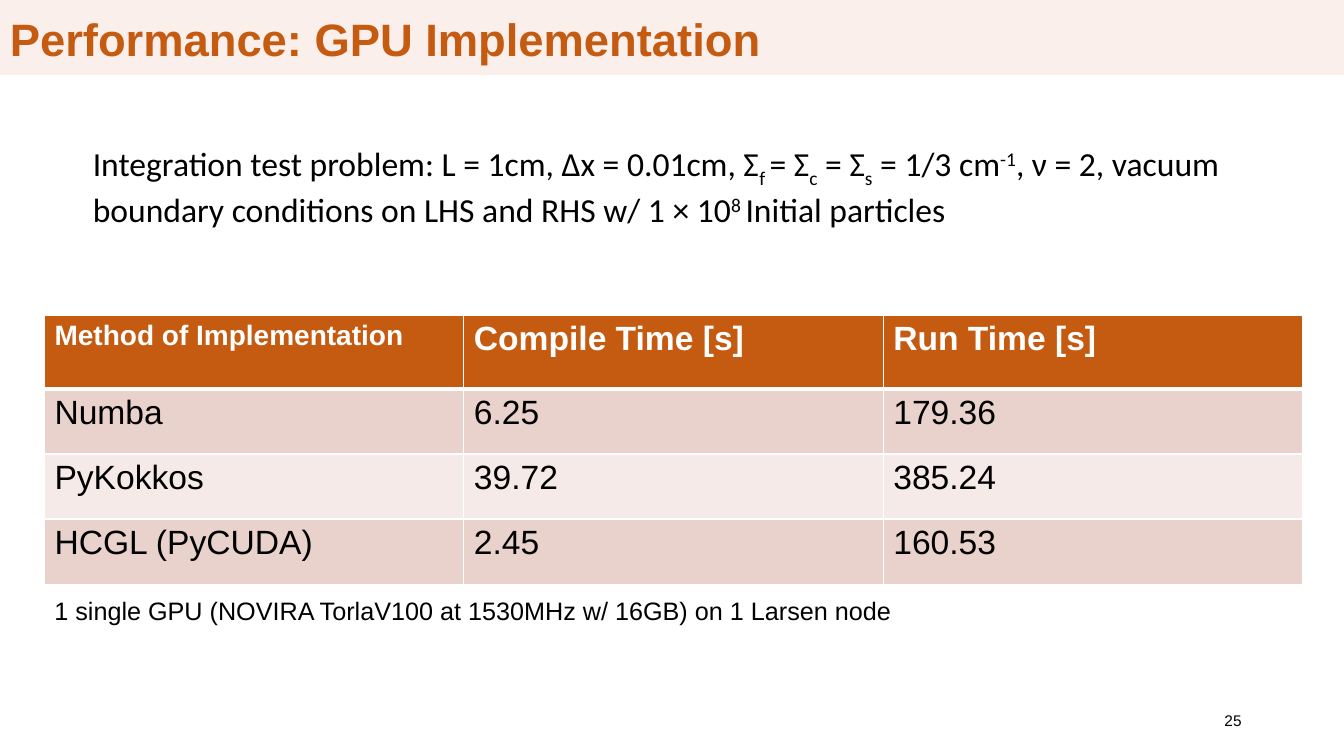
from lxml import etree
from pptx import Presentation
from pptx.dml.color import RGBColor
from pptx.enum.shapes import MSO_SHAPE
from pptx.enum.text import MSO_ANCHOR, PP_ALIGN
from pptx.oxml.ns import qn
from pptx.util import Cm, Pt

RECTANGLE = MSO_SHAPE.RECTANGLE
TOP, MIDDLE = MSO_ANCHOR.TOP, MSO_ANCHOR.MIDDLE
LEFT, RIGHT = PP_ALIGN.LEFT, PP_ALIGN.RIGHT

COLOURS = {
    "accent": "C55A11",
    "band": "FAEFEA",
    "row_dark": "EAD2CC",
    "row_light": "F5EAE7",
    "white": "FFFFFF",
    "black": "000000",
}

TITLE = "Performance: GPU Implementation"
SUB, SUPER = -25, 30
PROBLEM = [
    ("Integration test problem: L = 1cm, Δx = 0.01cm, Σ", 0),
    ("f ", SUB),
    ("= Σ", 0),
    ("c", SUB),
    (" = Σ", 0),
    ("s", SUB),
    (" = 1/3 cm", 0),
    ("-1", SUPER),
    (", ν = 2, vacuum boundary conditions on LHS and RHS w/ 1 × 10", 0),
    ("8 ", SUPER),
    ("Initial particles", 0),
]
HEADINGS = [("Method of Implementation", 20), ("Compile Time [s]", 24), ("Run Time [s]", 24)]
TIMINGS = [
    ("Numba", "6.25", "179.36"),
    ("PyKokkos", "39.72", "385.24"),
    ("HCGL (PyCUDA)", "2.45", "160.53"),
]
HARDWARE = "1 single GPU (NOVIRA TorlaV100 at 1530MHz w/ 16GB) on 1 Larsen node"
PAGE = "25"

SLIDE_W, SLIDE_H = 33.87, 19.05
BAND_H = 1.88
TITLE_W = 29.39
TABLE_LEFT, TABLE_TOP = 1.12, 7.95
COLUMN_W, HEADING_H, ROW_H = 10.57, 1.85, 1.64


def colour(name):
    return RGBColor.from_string(COLOURS[name])


def write(frame, text, size=24, font="Arial", ink="black", bold=False,
          align=LEFT, anchor=TOP, spacing=None):
    """Fill a frame with a string, or with (string, baseline percent) pairs."""
    frame.word_wrap = True
    frame.vertical_anchor = anchor
    paragraph = frame.paragraphs[0]
    paragraph.alignment = align
    if spacing:
        paragraph.line_spacing = spacing
    for part, baseline in [(text, 0)] if isinstance(text, str) else text:
        run = paragraph.add_run()
        run.text = part
        run.font.size = Pt(size)
        run.font.name = font
        run.font.bold = bold
        run.font.color.rgb = colour(ink)
        if baseline:
            run.font._element.set("baseline", str(baseline * 1000))


def add_text(slide, box, text, **style):
    frame = slide.shapes.add_textbox(*map(Cm, box)).text_frame
    write(frame, text, **style)


def add_band(slide, left, width, outline):
    band = slide.shapes.add_shape(RECTANGLE, Cm(left), 0, Cm(width), Cm(BAND_H))
    band.shadow.inherit = False
    band.fill.solid()
    band.fill.fore_color.rgb = colour("band")
    band.line.color.rgb = colour("band")
    band.line.width = Pt(outline)
    return band


def style_cell(cell, fill, top=1, bottom=1):
    """Set the fill and the white borders, with top and bottom widths in points."""
    cell.fill.solid()
    cell.fill.fore_color.rgb = colour(fill)
    properties = cell._tc.get_or_add_tcPr()
    widths = {"a:lnL": 1, "a:lnR": 1, "a:lnT": top, "a:lnB": bottom}
    for position, (side, width) in enumerate(widths.items()):
        border = etree.Element(qn(side), w=str(Pt(width)))
        solid = etree.SubElement(border, qn("a:solidFill"))
        etree.SubElement(solid, qn("a:srgbClr"), val=COLOURS["white"])
        properties.insert(position, border)


def add_timings(slide):
    height = HEADING_H + ROW_H * len(TIMINGS)
    table = slide.shapes.add_table(
        len(TIMINGS) + 1, len(HEADINGS), Cm(TABLE_LEFT), Cm(TABLE_TOP),
        Cm(COLUMN_W * len(HEADINGS)), Cm(height)).table
    for column in table.columns:
        column.width = Cm(COLUMN_W)
    for index, row in enumerate(table.rows):
        row.height = Cm(ROW_H if index else HEADING_H)
    for column, (heading, size) in enumerate(HEADINGS):
        cell = table.cell(0, column)
        style_cell(cell, "accent", bottom=3)
        write(cell.text_frame, heading, size=size, ink="white", bold=True)
    for row, timing in enumerate(TIMINGS, 1):
        for column, value in enumerate(timing):
            cell = table.cell(row, column)
            style_cell(cell, "row_dark" if row % 2 else "row_light", top=3 if row == 1 else 1)
            write(cell.text_frame, value)


def main():
    deck = Presentation()
    deck.slide_width, deck.slide_height = Cm(SLIDE_W), Cm(SLIDE_H)
    slide = deck.slides.add_slide(deck.slide_layouts[6])

    add_band(slide, 27.73, SLIDE_W - 27.73, 1)
    title = add_band(slide, 0, TITLE_W, 0.75).text_frame
    title.margin_top, title.margin_bottom = Cm(0.25), 0
    write(title, TITLE, size=32.4, ink="accent", bold=True, anchor=MIDDLE, spacing=0.9)

    add_timings(slide)
    add_text(slide, (TABLE_LEFT, 14.88, 29.62, 1.03), HARDWARE, size=18)
    add_text(slide, (23.92, 17.66, 7.62, 1.01), PAGE, size=11, align=RIGHT, anchor=MIDDLE)
    add_text(slide, (2.09, 3.48, 30.84, 2.31), PROBLEM, font="Calibri")
    deck.save("out.pptx")


if __name__ == "__main__":
    main()
